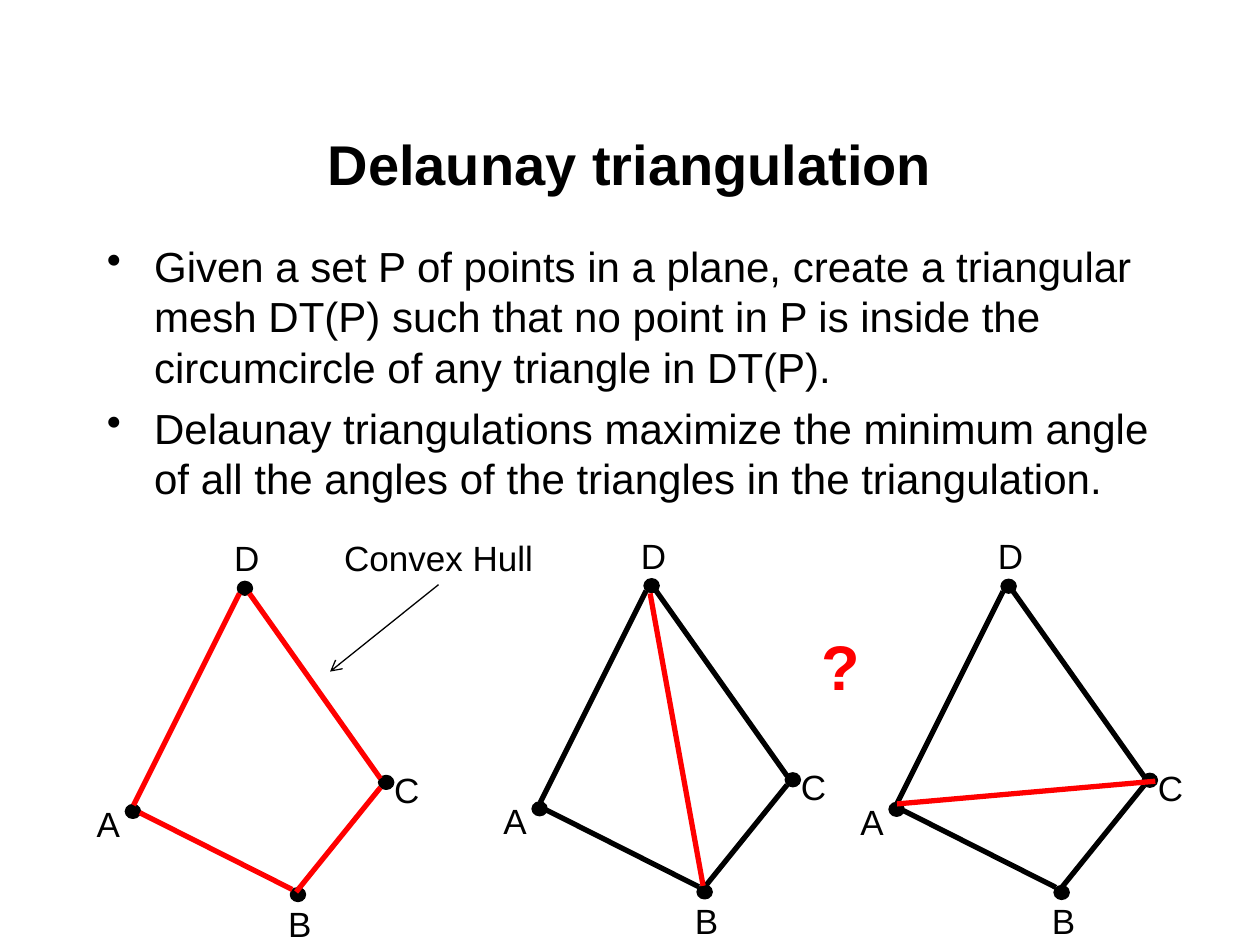
"""Build the Delaunay triangulation slide."""

from dataclasses import dataclass
from typing import Any, NamedTuple

import lxml.etree
import pptx
import pptx.dml.color
import pptx.enum.shapes
import pptx.enum.text
import pptx.oxml.ns
import pptx.util

Pt = pptx.util.Pt
ALIGN = pptx.enum.text.PP_ALIGN
ANCHOR = pptx.enum.text.MSO_ANCHOR
AUTO = pptx.enum.text.MSO_AUTO_SIZE


@dataclass(frozen=True)
class Theme:
    font: str = "Arial"
    ink: str = "000000"
    accent: str = "FF0000"
    title: float = 32
    body: float = 24
    label: float = 20
    question: float = 36
    edge: float = 3
    outline: float = 1.5
    pointer: float = 0.75


class Point(NamedTuple):
    x: float
    y: float


class Vertex(NamedTuple):
    name: str
    dot: Point
    label: Point
    label_width: float


class Edge(NamedTuple):
    start: Point
    end: Point


class Mesh(NamedTuple):
    origin: Point
    color: str


THEME = Theme()
DOT_WIDTH, DOT_HEIGHT, LABEL_HEIGHT = 7.9, 7.2, 31.6
VERTICES = (
    Vertex("A", Point(23.8, 157), Point(0, 151.9), 27.4),
    Vertex("D", Point(87.8, 29.5), Point(78.5, 0), 28.6),
    Vertex("C", Point(168.5, 140.4), Point(169.9, 132.5), 28.6),
    Vertex("B", Point(118.1, 204.5), Point(109.4, 208.8), 27.4),
)
HULL = (
    Edge(Point(28.1, 157), Point(88.6, 36)),
    Edge(Point(94.3, 36), Point(169.2, 141.8)),
    Edge(Point(31.7, 161.3), Point(118.8, 205.2)),
    Edge(Point(121, 206.6), Point(169.2, 146.9)),
)
MESHES = (
    Mesh(Point(48.2, 303.1), THEME.accent),
    Mesh(Point(280.6, 301.6), THEME.ink),
    Mesh(Point(484.6, 301.9), THEME.ink),
)
DIAGONALS = (
    Edge(Point(371.5, 339.1), Point(401.8, 506.2)),
    Edge(Point(512.6, 459.4), Point(660.2, 446.4)),
)
BULLETS = (
    "Given a set P of points in a plane, create a triangular mesh DT(P) such that "
    "no point in P is inside the circumcircle of any triangle in DT(P).",
    "Delaunay triangulations maximize the minimum angle of all the angles of the "
    "triangles in the triangulation.",
)


def rgb(color: str) -> pptx.dml.color.RGBColor:
    return pptx.dml.color.RGBColor.from_string(color)


def shift(point: Point, origin: Point) -> Point:
    return Point(point.x + origin.x, point.y + origin.y)


def style(para: Any, size: float, color: str = THEME.ink, bold: bool = False) -> None:
    para.font.name = THEME.font
    para.font.size = Pt(size)
    para.font.bold = bold
    para.font.color.rgb = rgb(color)


def add_text_box(shapes: Any, at: Point, width: float, height: float) -> Any:
    return shapes.add_textbox(Pt(at.x), Pt(at.y), Pt(width), Pt(height))


def add_label(shapes: Any, text: str, at: Point, width: float, height: float = LABEL_HEIGHT,
              size: float = THEME.label, color: str = THEME.ink, bold: bool = False) -> None:
    frame = add_text_box(shapes, at, width, height).text_frame
    frame.word_wrap = False
    frame.auto_size = AUTO.SHAPE_TO_FIT_TEXT
    para = frame.paragraphs[0]
    para.text = text
    para.alignment = ALIGN.CENTER
    style(para, size, color, bold)


def add_line(shapes: Any, edge: Edge, color: str, weight: float, arrow: bool = False) -> None:
    line = shapes.add_connector(
        pptx.enum.shapes.MSO_CONNECTOR.STRAIGHT,
        Pt(edge.start.x), Pt(edge.start.y), Pt(edge.end.x), Pt(edge.end.y))
    line.line.color.rgb = rgb(color)
    line.line.width = Pt(weight)
    if arrow:
        outline = line.line._get_or_add_ln()
        lxml.etree.SubElement(outline, pptx.oxml.ns.qn("a:tailEnd"), type="arrow")
    lxml.etree.SubElement(line._element.spPr, pptx.oxml.ns.qn("a:effectLst"))


def add_dot(shapes: Any, at: Point) -> None:
    dot = shapes.add_shape(pptx.enum.shapes.MSO_SHAPE.OVAL,
                           Pt(at.x), Pt(at.y), Pt(DOT_WIDTH), Pt(DOT_HEIGHT))
    dot.shadow.inherit = False
    dot.fill.solid()
    dot.fill.fore_color.rgb = rgb(THEME.ink)
    dot.line.color.rgb = rgb(THEME.ink)
    dot.line.width = Pt(THEME.outline)


def add_mesh(page: Any, mesh: Mesh) -> None:
    shapes = page.shapes.add_group_shape().shapes
    for vertex in VERTICES:
        add_dot(shapes, shift(vertex.dot, mesh.origin))
    for vertex in VERTICES:
        add_label(shapes, vertex.name, shift(vertex.label, mesh.origin), vertex.label_width)
    for edge in HULL:
        moved = Edge(shift(edge.start, mesh.origin), shift(edge.end, mesh.origin))
        add_line(shapes, moved, mesh.color, THEME.edge)


def add_title(page: Any, text: str) -> None:
    frame = add_text_box(page.shapes, Point(54, 48.2), 612, 90).text_frame
    frame.word_wrap = True
    frame.vertical_anchor = ANCHOR.MIDDLE
    para = frame.paragraphs[0]
    para.text = text
    para.alignment = ALIGN.CENTER
    para.space_before, para.space_after = Pt(12), Pt(6)
    style(para, THEME.title, bold=True)


def add_bullets(page: Any) -> None:
    frame = add_text_box(page.shapes, Point(54, 133.9), 612, 165.6).text_frame
    frame.word_wrap = True
    for index, text in enumerate(BULLETS):
        para = frame.add_paragraph() if index else frame.paragraphs[0]
        para.text = text
        para.space_before = Pt(6)
        style(para, THEME.body)
        properties = para._p.get_or_add_pPr()
        properties.set("marL", str(Pt(27)))
        properties.set("indent", str(-Pt(27)))
        bullet = lxml.etree.Element(pptx.oxml.ns.qn("a:buChar"), char="•")
        properties.find(pptx.oxml.ns.qn("a:defRPr")).addprevious(bullet)


def main() -> None:
    deck = pptx.Presentation()
    deck.slide_width, deck.slide_height = Pt(720), Pt(540)
    page = deck.slides.add_slide(deck.slide_layouts[6])
    add_title(page, "Delaunay triangulation")
    add_bullets(page)
    for mesh in MESHES:
        add_mesh(page, mesh)
    for diagonal in DIAGONALS:
        add_line(page.shapes, diagonal, THEME.accent, THEME.edge)
    add_label(page.shapes, "?", Point(462.2, 355), 36, 50.4,
              THEME.question, THEME.accent, bold=True)
    add_label(page.shapes, "Convex Hull", Point(189.4, 303.1), 122.4)
    pointer = Edge(Point(250.6, 334.1), Point(188.6, 383.8))
    add_line(page.shapes, pointer, THEME.ink, THEME.pointer, arrow=True)
    deck.save("out.pptx")


if __name__ == "__main__":
    main()
